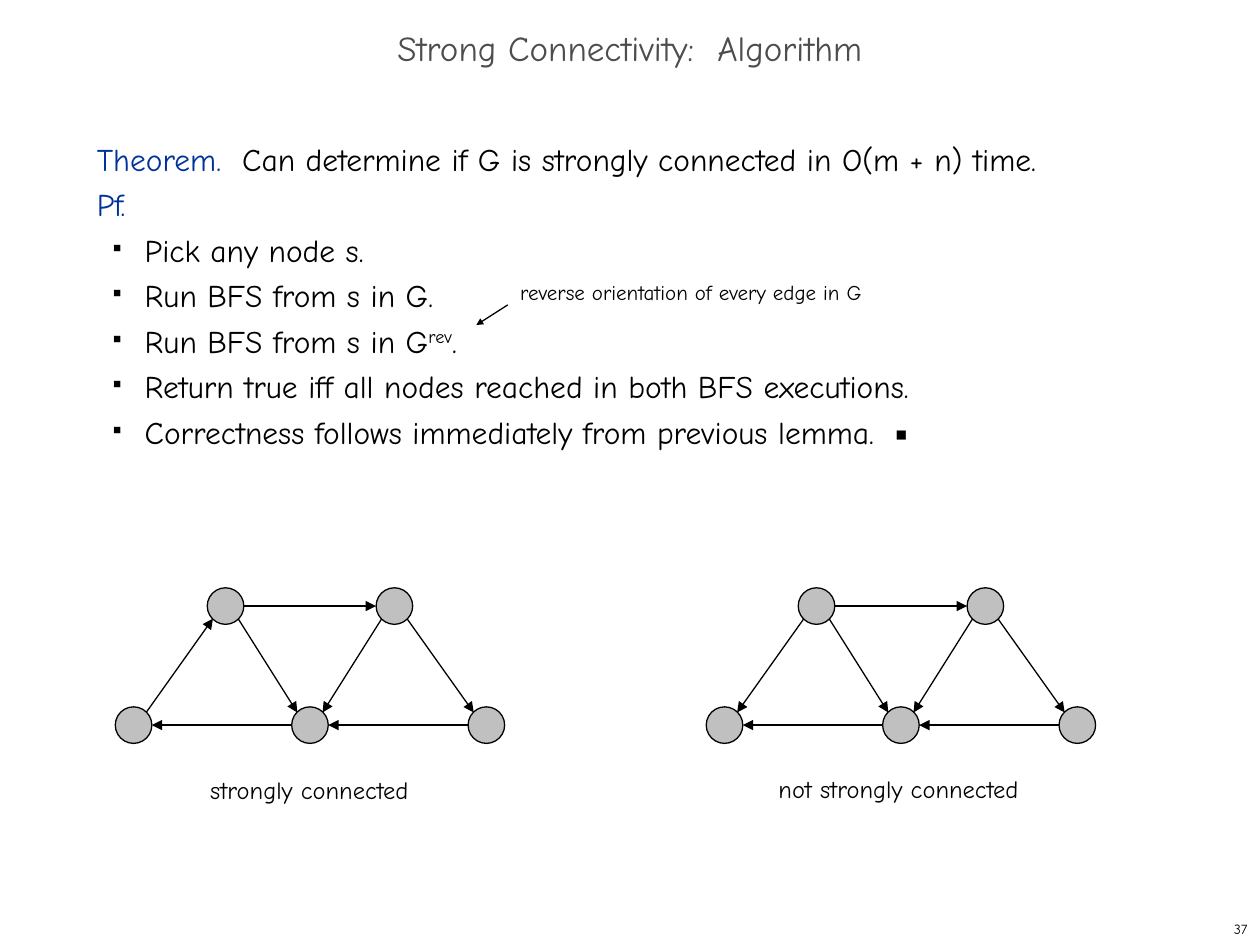
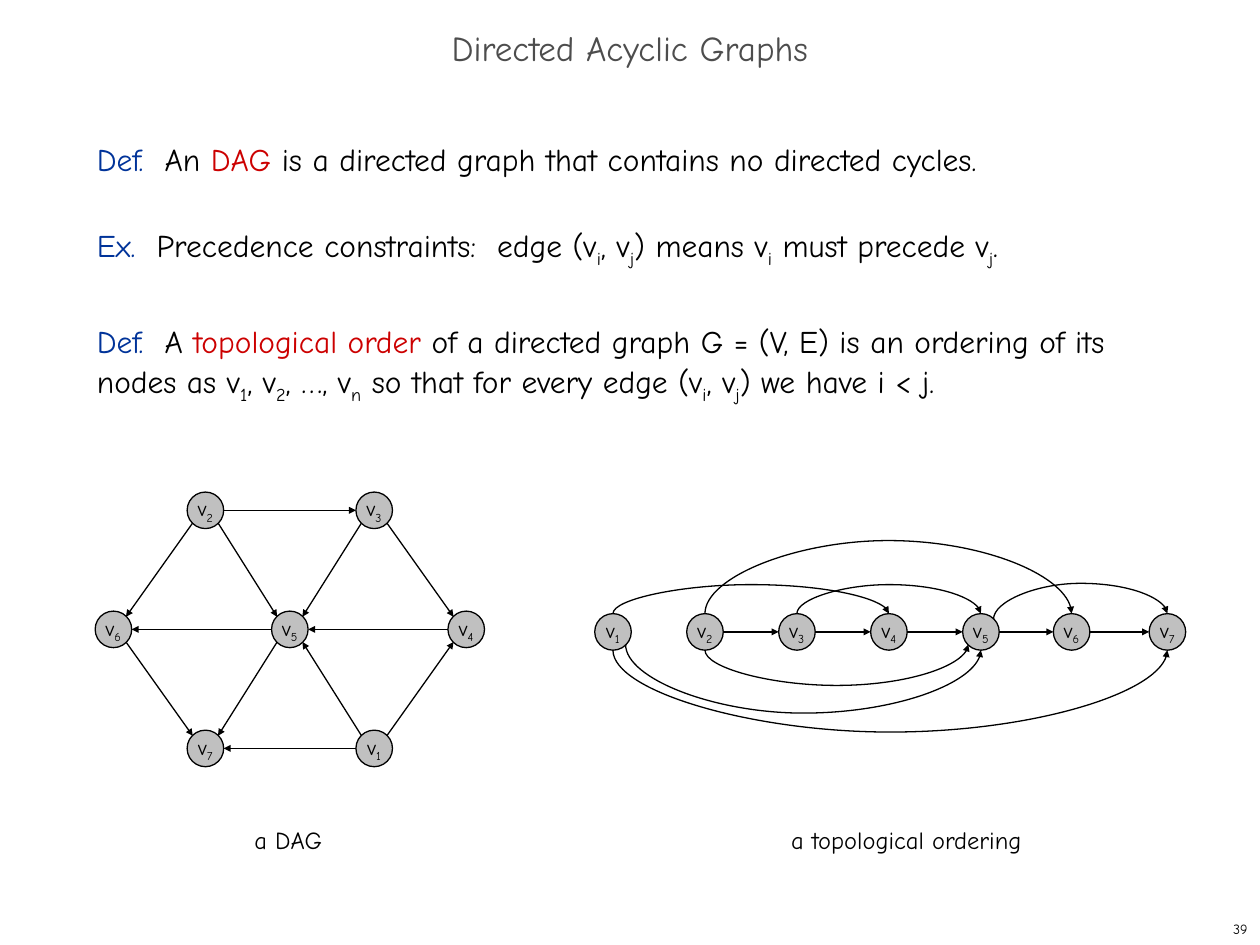
"""Build two lecture slides on strong connectivity and directed acyclic graphs."""
from pptx import Presentation
from pptx.dml.color import RGBColor
from pptx.enum.shapes import MSO_CONNECTOR as Link, MSO_SHAPE as Form
from pptx.enum.text import MSO_ANCHOR as Anchor, MSO_AUTO_SIZE as Fit, PP_ALIGN as Align
from pptx.oxml.ns import qn
from pptx.oxml.xmlchemy import OxmlElement as Node
from pptx.util import Inches, Pt

FONT = "Comic Neue"
BLACK = RGBColor(0x00, 0x00, 0x00)
GRAY = RGBColor(0x4D, 0x4D, 0x4D)
SILVER = RGBColor(0xC0, 0xC0, 0xC0)
BLUE = RGBColor(0x00, 0x33, 0x99)
RED = RGBColor(0xCC, 0x00, 0x00)
INKS = {"blue": BLUE, "red": RED}
BASES = {"sup": "30000", "sub": "-25000"}

PROOF = [
    [("Theorem.  ", "blue"), "Can determine if G is strongly connected in O(m + n) time."],
    [("Pf.", "blue")],
]
STEPS = [
    ["Pick any node s."],
    ["Run BFS from s in G."],
    ["Run BFS from s in G", ("rev", "sup"), "."],
    ["Return true iff all nodes reached in both BFS executions."],
    ["Correctness follows immediately from previous lemma.  ▪"],
]
DEFS = [
    [("Def.  ", "blue"), "An ", ("DAG", "red"),
     " is a directed graph that contains no directed cycles."],
    [("Ex.  ", "blue"), "Precedence constraints:  edge (v", ("i", "sub"), ", v",
     ("j", "sub"), ") means v", ("i", "sub"), " must precede v", ("j", "sub"), "."],
    [("Def.  ", "blue"), "A ", ("topological order ", "red"),
     "of a directed graph G = (V, E) is an ordering of its nodes as v", ("1", "sub"),
     ", v", ("2", "sub"), ", …, v", ("n", "sub"), " so that for every edge (v",
     ("i", "sub"), ", v", ("j", "sub"), ") we have i < j."],
]

RAD, DIAG = 0.145, 0.1
HALF, WIDE, RISE = 0.67, 1.4, 0.945
SPOTS = {
    "a": (-HALF, 0), "b": (HALF, 0),
    "p": (-WIDE, RISE), "m": (0, RISE), "q": (WIDE, RISE),
    "y": (-HALF, 2 * RISE), "z": (HALF, 2 * RISE),
}
BASE = ["am", "ab", "bq", "qm", "mp", "bm"]
STRONG = ["pa"] + BASE
WEAK = ["ap"] + BASE
DAG = WEAK + ["zq", "my", "zm", "zy", "py"]
MARKS = {"a": "2", "b": "3", "p": "6", "m": "5", "q": "4", "y": "7", "z": "1"}

ROW_Y = 5.015
ROW_X = {"1": 4.865, "2": 5.595, "3": 6.325, "4": 7.055, "5": 7.785, "6": 8.505, "7": 9.265}
ROW_EDGES = ["23", "34", "45", "56", "67"]
ARCS = [
    ("35", 0, 0, 4.64), ("25", 0, -DIAG, 5.44), ("15", DIAG, 0, 5.66),
    ("14", 0, 0, 4.64), ("57", DIAG, 0, 4.63), ("26", 0, 0, 4.29), ("17", 0, 0, 5.81),
]


def write(para, runs, size, ink=BLACK):
    for part in runs:
        text, look = (part, "") if isinstance(part, str) else part
        run = para.add_run()
        run.text = text
        font = run.font
        font.name, font.size = FONT, Pt(size)
        font.color.rgb = INKS.get(look, ink)
        if look in BASES:
            run._r.get_or_add_rPr().set("baseline", BASES[look])


def box(slide, at, wrap=True, anchor=Anchor.TOP):
    frame = slide.shapes.add_textbox(*map(Inches, at)).text_frame
    frame.word_wrap = wrap
    frame.vertical_anchor = anchor
    frame.auto_size = Fit.NONE if wrap else Fit.SHAPE_TO_FIT_TEXT
    return frame


def label(slide, at, text, size=14):
    write(box(slide, at, wrap=False).paragraphs[0], [text], size)


def bullet(para):
    props = para._p.get_or_add_pPr()
    props.set("marL", str(Inches(0.38)))
    props.set("indent", str(Inches(-0.25)))
    tint = Node("a:buClr")
    ink = Node("a:srgbClr")
    ink.set("val", str(BLACK))
    tint.append(ink)
    size = Node("a:buSzPct")
    size.set("val", "35000")
    char = Node("a:buChar")
    char.set("char", "■")
    for item in (tint, size, char):
        props.append(item)


def body(slide, heads, items=(), gap=0):
    frame = box(slide, (0.67, 1, 8.58, 5.92))
    for i, runs in enumerate([*heads, *items]):
        para = frame.add_paragraph() if i else frame.paragraphs[0]
        if i >= len(heads):
            bullet(para)
        para.line_spacing = Pt(26)
        if i and gap:
            para.space_before = Pt(gap)
        write(para, runs, 18)


def stroke(shape, tip):
    shape.line.color.rgb = BLACK
    shape.line.width = Pt(0.75)
    tail = Node("a:tailEnd")
    tail.set("type", "triangle")
    tail.set("w", tip)
    tail.set("len", tip)
    shape.line._get_or_add_ln().append(tail)


def arrow(slide, start, end, tip):
    link = slide.shapes.add_connector(Link.STRAIGHT, *map(Inches, (*start, *end)))
    stroke(link, tip)
    link.element.spPr.append(Node("a:effectLst"))


def sign(num):
    return (num > 0) - (num < 0)


def edge(slide, start, end, tip):
    (x0, y0), (x1, y1) = start, end
    flat = abs(y1 - y0) < 0.01
    dx = sign(x1 - x0) * (RAD if flat else DIAG)
    dy = 0 if flat else sign(y1 - y0) * DIAG
    arrow(slide, (x0 + dx, y0 + dy), (x1 - dx, y1 - dy), tip)


def arc(slide, x0, y0, x1, y1, peak):
    """Draw an arrow of two Bezier halves that meet at the peak."""
    span = x1 - x0
    spots = [
        (x0, (y0 + peak) / 2), (x0 + span / 4, peak), (x0 + span / 2, peak),
        (x1 - span / 4, peak), (x1, (peak + y1) / 2), (x1, y1),
    ]
    pen = slide.shapes.build_freeform(Inches(x0), Inches(y0))
    pen.add_line_segments([(Inches(x), Inches(y)) for x, y in spots], close=False)
    shape = pen.convert_to_shape()
    shape.shadow.inherit = False
    shape.fill.background()
    stroke(shape, "sm")
    geo = shape.element.find(".//" + qn("a:path"))
    lines = geo.findall(qn("a:lnTo"))
    for half in (lines[:3], lines[3:]):
        bend = Node("a:cubicBezTo")
        for line in half:
            bend.append(line[0])
            geo.remove(line)
        geo.append(bend)


def disc(slide, spot, mark=None):
    x, y = spot
    shape = slide.shapes.add_shape(
        Form.OVAL, *map(Inches, (x - RAD, y - RAD, 2 * RAD, 2 * RAD)))
    shape.shadow.inherit = False
    shape.fill.solid()
    shape.fill.fore_color.rgb = SILVER
    shape.line.color.rgb = BLACK
    shape.line.width = Pt(0.75)
    if mark:
        frame = shape.text_frame
        frame.word_wrap = False
        frame.vertical_anchor = Anchor.MIDDLE
        para = frame.paragraphs[0]
        para.alignment = Align.CENTER
        write(para, ["v", (mark, "sub")], 12)


def graph(slide, spots, edges, marks, tip):
    for key, spot in spots.items():
        disc(slide, spot, marks.get(key))
    for a, b in edges:
        edge(slide, spots[a], spots[b], tip)


def place(keys, x, y):
    return {key: (x + SPOTS[key][0], y + SPOTS[key][1]) for key in keys}


def page(deck, title, number):
    slide = deck.slides.add_slide(deck.slide_layouts[6])
    foot = box(slide, (7.92, 7.25, 2.08, 0.25), anchor=Anchor.MIDDLE).paragraphs[0]
    foot.alignment = Align.RIGHT
    write(foot, [number], 8)
    head = box(slide, (0, 0.17, 10, 0.5), anchor=Anchor.MIDDLE).paragraphs[0]
    head.alignment = Align.CENTER
    head.line_spacing = 0.7
    write(head, [title], 20, GRAY)
    return slide


def strong(deck):
    slide = page(deck, "Strong Connectivity:  Algorithm", "37")
    body(slide, PROOF, STEPS)
    arrow(slide, (4.03, 2.42), (3.78, 2.58), "sm")
    label(slide, (4.03, 2.17, 3.17, 0.3), "reverse orientation of every edge in G", 12)
    for x, edges in ((2.46, STRONG), (7.15, WEAK)):
        graph(slide, place("abpmq", x, 4.81), edges, {}, "med")
    label(slide, (1.57, 6.1, 1.93, 0.33), "strongly connected")
    label(slide, (6.08, 6.09, 2.28, 0.33), "not strongly connected")


def acyclic(deck):
    slide = page(deck, "Directed Acyclic Graphs", "39")
    body(slide, DEFS, gap=26)
    label(slide, (1.92, 6.5, 0.77, 0.33), "a DAG")
    label(slide, (6.18, 6.5, 2.15, 0.33), "a topological ordering")
    graph(slide, place("abpmqyz", 2.3, 4.05), DAG, MARKS, "sm")
    row = {key: (x, ROW_Y) for key, x in ROW_X.items()}
    graph(slide, row, ROW_EDGES, {key: key for key in row}, "sm")
    for (a, b), dx0, dx1, peak in ARCS:
        side = sign(peak - ROW_Y)
        y0, y1 = (ROW_Y + side * (DIAG if dx else RAD) for dx in (dx0, dx1))
        arc(slide, ROW_X[a] + dx0, y0, ROW_X[b] + dx1, y1, peak)


def main():
    deck = Presentation()
    deck.slide_width, deck.slide_height = Inches(10), Inches(7.5)
    strong(deck)
    acyclic(deck)
    deck.save("out.pptx")


if __name__ == "__main__":
    main()
